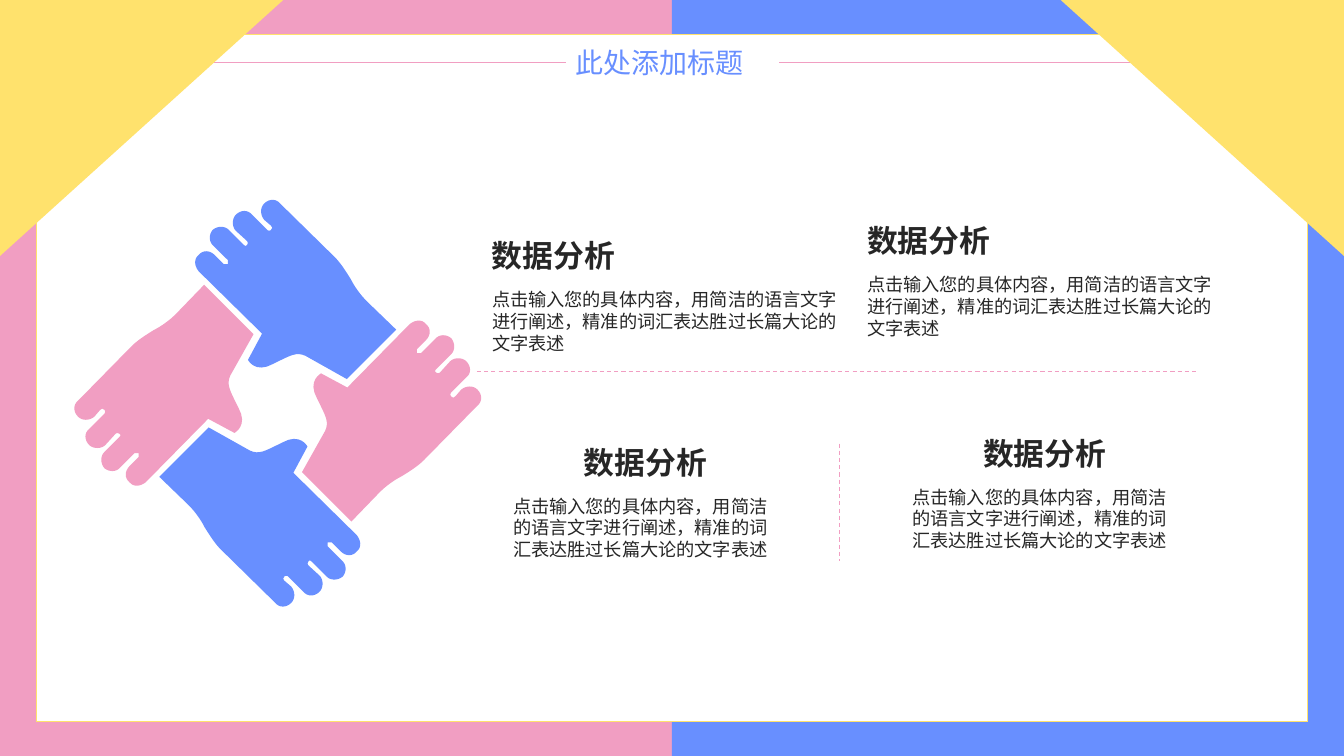
import pptx
import pptx.dml.color
import pptx.enum.dml
import pptx.enum.shapes
import pptx.enum.text
import pptx.oxml
import pptx.oxml.ns
import pptx.util

Inches, Pt = pptx.util.Inches, pptx.util.Pt
SHAPE = pptx.enum.shapes.MSO_SHAPE
W, H = 13.33, 7.5
FONT = "Calibri"
COLORS = {"pink": "F19EC2", "blue": "688FFF", "yellow": "FFE26D",
          "white": "FFFFFF", "ink": "262626"}
HEADING = "数据分析"
BODY = "点击输入您的具体内容，用简洁的语言文字进行阐述，精准的词汇表达胜过长篇大论的文字表述"

# Lower hand in inches: pairs are corners, sextuples are cubic curves.
HAND_CENTER = (2.755, 4.0)
HAND = [
    (2.48, 4.47), (2.57, 4.51, 2.62, 4.48, 2.8, 4.39),
    (2.98, 4.29, 3.05, 4.43, 3.05, 4.43), (2.91, 4.69), (3.54, 5.31),
    (3.58, 5.36, 3.59, 5.43, 3.54, 5.47), (3.5, 5.52, 3.43, 5.52, 3.38, 5.47),
    (3.29, 5.38), (3.28, 5.38, 3.28, 5.38, 3.27, 5.38),
    (3.27, 5.38, 3.26, 5.38, 3.25, 5.38), (3.25, 5.39, 3.25, 5.41, 3.25, 5.42),
    (3.39, 5.56), (3.44, 5.6, 3.44, 5.67, 3.4, 5.72),
    (3.35, 5.76, 3.28, 5.76, 3.24, 5.72), (3.09, 5.57),
    (3.09, 5.57, 3.08, 5.56, 3.07, 5.56), (3.07, 5.56, 3.06, 5.57, 3.06, 5.57),
    (3.05, 5.58, 3.05, 5.6, 3.06, 5.61), (3.17, 5.71),
    (3.19, 5.73, 3.2, 5.76, 3.2, 5.79), (3.2, 5.82, 3.19, 5.85, 3.17, 5.87),
    (3.12, 5.92, 3.05, 5.92, 3.01, 5.87), (2.86, 5.72),
    (2.85, 5.71, 2.83, 5.71, 2.82, 5.72), (2.82, 5.73, 2.81, 5.73, 2.81, 5.74),
    (2.81, 5.75, 2.82, 5.75, 2.82, 5.76), (2.89, 5.82),
    (2.93, 5.87, 2.93, 5.94, 2.89, 5.98), (2.84, 6.03, 2.77, 6.03, 2.73, 5.98),
    (2.19, 5.45), (2.13, 5.39, 2.08, 5.31, 2.03, 5.23),
    (1.99, 5.15, 1.93, 5.07, 1.87, 5.01), (1.58, 4.73), (2.07, 4.24),
]


def rgb(name):
    return pptx.dml.color.RGBColor.from_string(COLORS[name])


def paint(sp, fill, line=None):
    sp.shadow.inherit = False
    sp.fill.solid()
    sp.fill.fore_color.rgb = rgb(fill)
    if line:
        sp.line.color.rgb = rgb(line)
        sp.line.width = Pt(1)
    else:
        sp.line.fill.background()


def add_preset(slide, kind, box, fill, line=None):
    sp = slide.shapes.add_shape(kind, *map(Inches, box))
    paint(sp, fill, line)
    return sp


def add_rule(slide, x1, y1, x2, y2, width, dashed=False):
    cxn = slide.shapes.add_connector(pptx.enum.shapes.MSO_CONNECTOR.STRAIGHT,
                                     *map(Inches, (x1, y1, x2, y2)))
    cxn.line.color.rgb = rgb("pink")
    cxn.line.width = Pt(width)
    if dashed:
        cxn.line.dash_style = pptx.enum.dml.MSO_LINE.DASH
    pptx.oxml.ns.qn("a:effectLst")
    cxn.element.spPr.append(pptx.oxml.parse_xml(
        "<a:effectLst %s/>" % pptx.oxml.ns.nsdecls("a")))


def write(tf, text, size, color, bold=False):
    tf.word_wrap = True
    tf.auto_size = pptx.enum.text.MSO_AUTO_SIZE.NONE
    tf.vertical_anchor = pptx.enum.text.MSO_ANCHOR.TOP
    p = tf.paragraphs[0]
    p.text = text
    p.alignment = pptx.enum.text.PP_ALIGN.LEFT
    p.font.name, p.font.size, p.font.bold = FONT, Pt(size), bold
    p.font.color.rgb = rgb(color)


def add_text(slide, box, text, size, bold=False):
    tf = slide.shapes.add_textbox(*map(Inches, box)).text_frame
    tf.margin_left = tf.margin_top = tf.margin_right = tf.margin_bottom = 0
    write(tf, text, size, "ink", bold)


def add_backdrop(slide):
    slide.background.fill.solid()
    slide.background.fill.fore_color.rgb = rgb("pink")
    add_preset(slide, SHAPE.RECTANGLE, (W / 2, 0, W / 2, H), "blue")
    add_preset(slide, SHAPE.RECTANGLE, (0.36, 0.34, 12.61, 6.82), "white", "yellow")


def add_title(slide, x, y, w, h):
    """Place the title between two rules that run to the slide edges."""
    rule_y = y + h / 2
    for start, end in ((0, x), (x + w, W)):
        add_rule(slide, start, rule_y, end, rule_y, 0.5)
    title = slide.shapes.title
    title.left, title.top, title.width, title.height = map(Inches, (x, y, w, h))
    write(title.text_frame, "此处添加标题", 20, "blue")
    title.element.getparent().append(title.element)  # above the backdrop


def flatten(outline, steps=8):
    """Turn corners and cubic curves into a list of points."""
    points = []
    for part in outline:
        if len(part) == 2:
            points.append(part)
            continue
        knots = [points[-1], part[:2], part[2:4], part[4:]]
        for i in range(1, steps + 1):
            t = i / steps
            weights = ((1 - t) ** 3, 3 * t * (1 - t) ** 2, 3 * t * t * (1 - t), t ** 3)
            points.append(tuple(sum(k * q[axis] for k, q in zip(weights, knots))
                                for axis in (0, 1)))
    return points


def add_hands(slide, cx, cy):
    """Ring of four hands, each a quarter turn from the one before."""
    offsets = [(x - HAND_CENTER[0], y - HAND_CENTER[1]) for x, y in flatten(HAND)]
    for color in ("blue", "pink", "blue", "pink"):
        points = [(Inches(cx + dx), Inches(cy + dy)) for dx, dy in offsets]
        builder = slide.shapes.build_freeform(*points[0])
        builder.add_line_segments(points[1:], close=True)
        paint(builder.convert_to_shape(), color)
        offsets = [(-dy, dx) for dx, dy in offsets]


def add_card(slide, x, y, w, indent=0):
    add_text(slide, (x, y + 0.51, w, 0.66), BODY, 13)
    add_text(slide, (x + indent, y, 1.97, 0.37), HEADING, 22, True)


def add_cards(slide):
    add_rule(slide, 4.73, 3.69, 11.86, 3.69, 0.75, dashed=True)
    add_rule(slide, 8.33, 4.4, 8.33, 5.57, 0.75, dashed=True)
    for x, y in ((4.88, 2.35), (8.6, 2.2)):
        add_card(slide, x, y, 3.45)
    for x, y in ((5.09, 4.4), (9.05, 4.31)):
        add_card(slide, x, y, 2.6, indent=0.7)


def add_corners(slide, w, h):
    for x, flips in ((0, ("flipV",)), (W - w, ("flipH", "flipV"))):
        sp = add_preset(slide, SHAPE.RIGHT_TRIANGLE, (x, 0, w, h), "yellow")
        for flip in flips:
            sp.element.spPr.xfrm.set(flip, "1")


def main():
    prs = pptx.Presentation()
    prs.slide_width, prs.slide_height = Inches(W), Inches(H)
    slide = prs.slides.add_slide(prs.slide_layouts[5])
    add_backdrop(slide)
    add_title(slide, 5.61, 0.4, 2.12, 0.44)
    add_hands(slide, *HAND_CENTER)
    add_cards(slide)
    add_corners(slide, 2.81, 2.54)
    prs.save("out.pptx")


if __name__ == "__main__":
    main()
